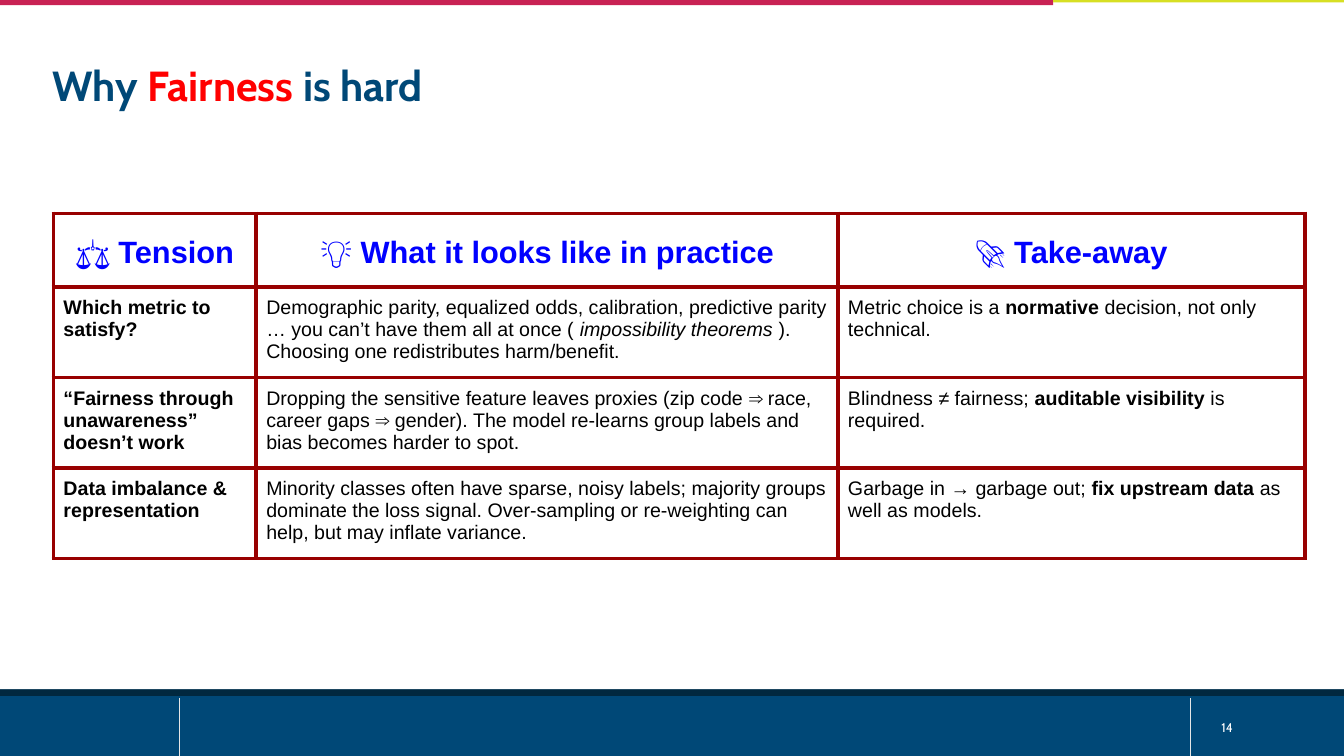
from lxml import etree
from pptx import Presentation
from pptx.dml.color import RGBColor
from pptx.enum.shapes import MSO_CONNECTOR, MSO_SHAPE
from pptx.enum.text import MSO_ANCHOR, MSO_AUTO_SIZE, PP_ALIGN
from pptx.oxml import parse_xml
from pptx.oxml.ns import nsdecls, qn
from pptx.util import Cm, Pt

NAVY, RED, BLUE, BLACK, WHITE = "004877", "FF0000", "0000FF", "000000", "FFFFFF"
BORDER = "980000"


def colour(value):
    return RGBColor.from_string(value)


def add_spans(para, spans, font, size):
    """Add (text, colour, bold, italic) spans to a paragraph."""
    for text, value, bold, italic in spans:
        span = para.add_run()
        span.text = text
        span.font.name, span.font.size = font, Pt(size)
        span.font.bold, span.font.italic = bold, italic
        span.font.color.rgb = colour(value)


deck = Presentation()
deck.slide_width, deck.slide_height = Cm(33.87), Cm(19.05)
page = deck.slides.add_slide(deck.slide_layouts[5])

# Top stripes and footer band
bands = [
    (0, 17.37, 33.87, 1.68, NAVY),
    (0, 17.37, 33.87, 0.17, "01283F"),
    (0, 0, 26.54, 0.13, "C82254"),
    (26.54, 0, 7.33, 0.06, "D7DF23"),
]
for left, top, width, height, fill in bands:
    band = page.shapes.add_shape(
        MSO_SHAPE.RECTANGLE, Cm(left), Cm(top), Cm(width), Cm(height))
    band.shadow.inherit = False
    band.fill.solid()
    band.fill.fore_color.rgb = colour(fill)
    band.line.fill.background()

for x in (4.52, 30):
    divider = page.shapes.add_connector(
        MSO_CONNECTOR.STRAIGHT, Cm(x), Cm(17.6), Cm(x), Cm(19.05))
    divider.line.color.rgb = colour("E6E6E6")
    divider.line.width = Pt(0.75)
    etree.SubElement(divider._element.spPr, qn("a:effectLst"))

# Title
title = page.shapes.title
title.left, title.top, title.width, title.height = Cm(1.07), Cm(1.37), Cm(24.64), Cm(1.9)
title.text_frame.auto_size = MSO_AUTO_SIZE.NONE
title.text_frame.vertical_anchor = MSO_ANCHOR.TOP
heading = title.text_frame.paragraphs[0]
heading.alignment = PP_ALIGN.LEFT
add_spans(heading, [("Why ", NAVY, True, False), ("Fairness", RED, True, False),
                    (" is hard", NAVY, True, False)], "Cabin", 30)

# Page number
number_box = page.shapes.add_textbox(Cm(30.53), Cm(17.83), Cm(3.33), Cm(1.02))
number_box.text_frame.word_wrap = True
number_box.text_frame.vertical_anchor = MSO_ANCHOR.MIDDLE
add_spans(number_box.text_frame.paragraphs[0], [("14", WHITE, False, False)], "Cabin", 9)

# Table: each cell is a list of (text, style) pieces
headers = ["⚖️ Tension", "💡 What it looks like in practice", "🚀 Take-away"]
body = [
    [[("Which metric to satisfy?", "bold")],
     [("Demographic parity, equalized odds, calibration, predictive parity … "
       "you can’t have them all at once ( ", ""),
      ("impossibility theorems", "italic"),
      (" ). Choosing one redistributes harm/benefit.", "")],
     [("Metric choice is a ", ""), ("normative", "bold"),
      (" decision, not only technical.", "")]],
    [[("“Fairness through unawareness” doesn’t work", "bold")],
     [("Dropping the sensitive feature leaves proxies (zip code ⇒ race, career gaps ⇒ gender). "
       "The model re-learns group labels and bias becomes harder to spot.", "")],
     [("Blindness ≠ fairness; ", ""), ("auditable visibility", "bold"),
      (" is required.", "")]],
    [[("Data imbalance & representation", "bold")],
     [("Minority classes often have sparse, noisy labels; majority groups dominate the loss "
       "signal. Over-sampling or re-weighting can help, but may inflate variance.", "")],
     [("Garbage in → garbage out; ", ""), ("fix upstream data", "bold"),
      (" as well as models.", "")]],
]
rows = [[[(text, "bold")] for text in headers]] + body
widths = [5.11, 14.66, 11.76]
heights = [1.85] + [2.17] * len(body)
table = page.shapes.add_table(
    len(rows), len(widths), Cm(1.35), Cm(5.38), Cm(sum(widths)), Cm(sum(heights))).table
table.horz_banding = False
for column, width in zip(table.columns, widths):
    column.width = Cm(width)

for r, (row, height) in enumerate(zip(rows, heights)):
    table.rows[r].height = Cm(height)
    for c, pieces in enumerate(row):
        cell = table.cell(r, c)
        cell.margin_left = cell.margin_right = Cm(0.25)
        cell.margin_top = cell.margin_bottom = Cm(0.25)
        cell.fill.background()
        for index, side in enumerate(("lnL", "lnR", "lnT", "lnB")):
            cell._tc.get_or_add_tcPr().insert(index, parse_xml(
                f'<a:{side} {nsdecls("a")} w="{Pt(3)}"><a:solidFill>'
                f'<a:srgbClr val="{BORDER}"/></a:solidFill></a:{side}>'))
        para = cell.text_frame.paragraphs[0]
        value, size = BLACK, 14
        if r == 0:
            value, size = BLUE, 22
            cell.vertical_anchor = MSO_ANCHOR.MIDDLE
            para.alignment = PP_ALIGN.CENTER
            para.line_spacing = 1.15
        add_spans(para, [(text, value, style == "bold", style == "italic")
                         for text, style in pieces], "Arial", size)

deck.save("out.pptx")
